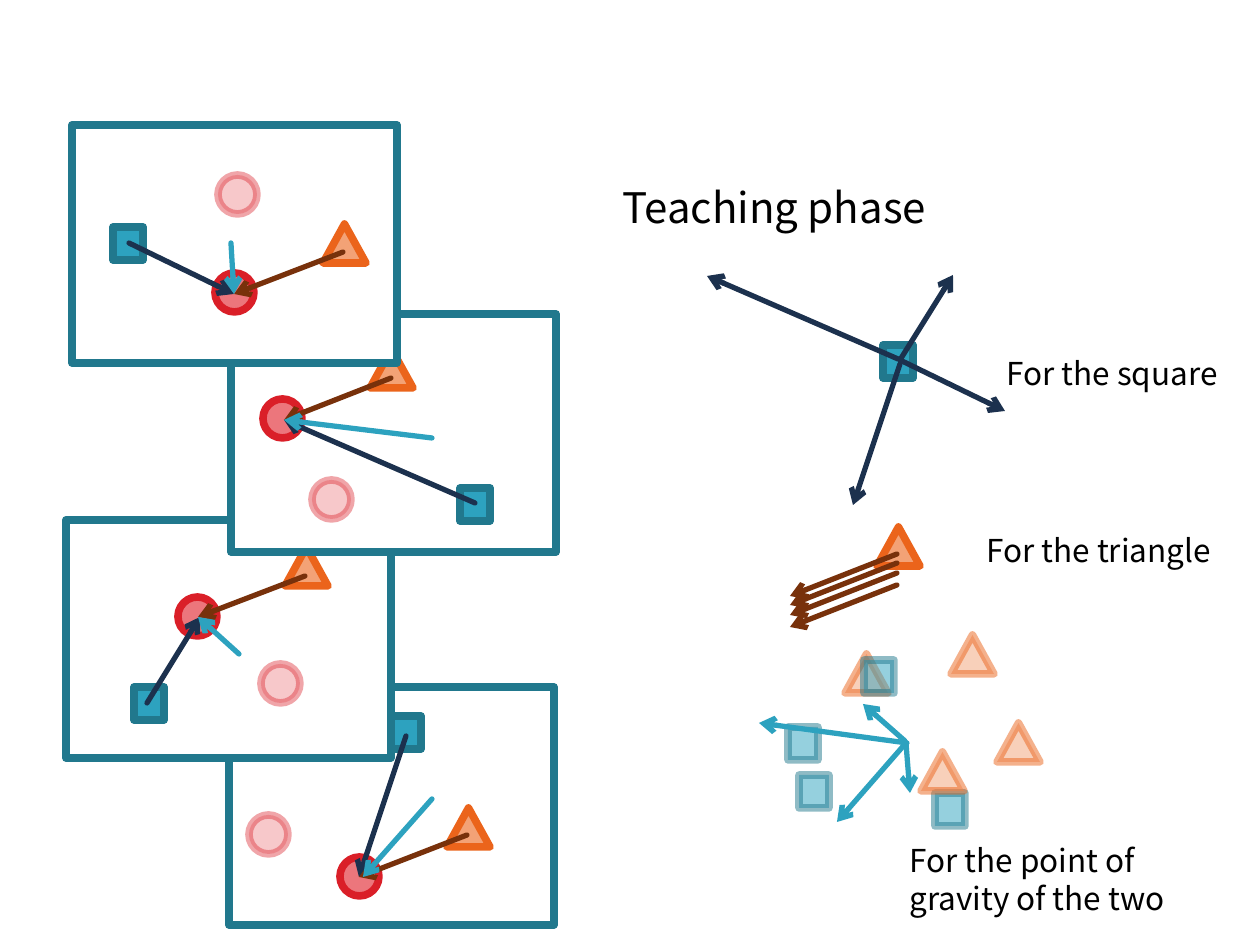
from dataclasses import dataclass

from lxml import etree
from pptx import Presentation
from pptx import util as u
from pptx.dml import color
from pptx.enum import shapes, text
from pptx.oxml import ns

PX = 914400 / 126


@dataclass(frozen=True)
class Theme:
    font: str = "Noto Sans CJK JP"
    ink: str = "000000"
    paper: str = "FFFFFF"
    teal: str = "2DA2BF"
    teal_edge: str = "21788D"
    orange: str = "F3A276"
    orange_edge: str = "EB641B"
    red: str = "EC767C"
    red_edge: str = "DA1F28"
    navy: str = "1C314E"
    brown: str = "78310B"
    title: int = 24
    label: int = 18
    edge_width: float = 4.33
    arrow_width: int = 3


def px(n):
    return u.Emu(round(n * PX))


def rgb(value):
    return color.RGBColor.from_string(value)


def add_xml(parent, tag, **attrs):
    return etree.SubElement(parent, ns.qn(tag), attrs)


class Sketch:
    def __init__(self, prs, theme):
        self.t = theme
        self.s = prs.slides.add_slide(prs.slide_layouts[6])

    def paint(self, fill, value, opacity):
        fill.solid()
        fill.fore_color.rgb = rgb(value)
        if opacity < 100:
            clr = fill._xPr.find(ns.qn("a:solidFill"))[0]
            add_xml(clr, "a:alpha", val=str(opacity * 1000))

    def shape(self, kind, box, fill, edge, opacity=100):
        sp = self.s.shapes.add_shape(kind, *map(px, box))
        sp.shadow.inherit = False
        self.paint(sp.fill, fill, opacity)
        sp.line.width = u.Pt(self.t.edge_width)
        self.paint(sp.line.fill, edge, opacity)
        add_xml(sp.line._get_or_add_ln(), "a:round")

    def panel(self, x, y):
        self.shape(shapes.MSO_SHAPE.RECTANGLE, (x, y, 325, 238), self.t.paper, self.t.teal_edge)

    def square(self, x, y, opacity=100):
        self.shape(shapes.MSO_SHAPE.RECTANGLE, (x, y, 30, 33), self.t.teal, self.t.teal_edge, opacity)

    def triangle(self, x, y, opacity=100):
        self.shape(shapes.MSO_SHAPE.ISOSCELES_TRIANGLE, (x, y, 43, 39),
                   self.t.orange, self.t.orange_edge, opacity)

    def circle(self, x, y, opacity=100):
        self.shape(shapes.MSO_SHAPE.OVAL, (x, y, 39, 39), self.t.red, self.t.red_edge, opacity)

    def arrow(self, ends, value):
        c = self.s.shapes.add_connector(shapes.MSO_CONNECTOR.STRAIGHT, *map(px, ends))
        c.line.width = u.Pt(self.t.arrow_width)
        c.line.color.rgb = rgb(value)
        ln = c.line._get_or_add_ln()
        ln.set("cap", "rnd")
        add_xml(ln, "a:round")
        add_xml(ln, "a:tailEnd", type="arrow")
        add_xml(c._element.spPr, "a:effectLst")

    def label(self, box, words, size):
        tf = self.s.shapes.add_textbox(*map(px, box)).text_frame
        tf.word_wrap = True
        tf.auto_size = text.MSO_AUTO_SIZE.SHAPE_TO_FIT_TEXT
        p = tf.paragraphs[0]
        p.text = words
        p.font.name = self.t.font
        p.font.size = u.Pt(size)
        p.font.color.rgb = rgb(self.t.ink)

    def scene(self, panel, ghost, square, triangle, circle, arrows):
        """One panel with its objects; arrows start at square, triangle and midpoint."""
        self.panel(*panel)
        self.circle(*ghost, opacity=40)
        self.square(*square)
        self.triangle(*triangle)
        self.circle(*circle)
        for ends, value in zip(arrows, (self.t.navy, self.t.brown, self.t.teal)):
            self.arrow(ends, value)


# Back to front: panel, ghost, square, triangle, circle, arrows
SCENES = [
    ((229, 687), (249, 815), (391, 716), (447, 808), (340, 857),
     [(406, 736, 359, 877), (467, 835, 359, 877), (432, 799, 363, 877)]),
    ((66, 520), (261, 664), (134, 687), (285, 547), (178, 597),
     [(147, 703, 200, 617), (305, 576, 198, 617), (239, 654, 198, 617)]),
    ((231, 314), (312, 480), (460, 488), (370, 349), (263, 399),
     [(475, 503, 284, 420), (391, 378, 284, 420), (432, 438, 284, 420)]),
    ((72, 125), (218, 175), (113, 227), (323, 224), (215, 273),
     [(129, 243, 234, 294), (343, 252, 234, 294), (231, 243, 234, 294)]),
]
SQUARE_ARROWS = [(900, 360, 1005, 411), (898, 359, 707, 276),
                 (900, 360, 953, 275), (900, 364, 853, 505)]
TRIANGLE_ARROW_TOPS = [554, 563, 573, 585]
GRAVITY_ARROWS = [(906, 743, 910, 793), (907, 743, 759, 723),
                  (905, 741, 863, 704), (906, 743, 837, 822)]


def main():
    prs = Presentation()
    prs.slide_width, prs.slide_height = px(1260), px(945)
    t = Theme()
    sk = Sketch(prs, t)

    for scene in SCENES:
        sk.scene(*scene)

    sk.triangle(877, 527)
    for y in TRIANGLE_ARROW_TOPS:
        sk.arrow((897, y, 790, y + 42), t.brown)

    sk.square(883, 345)
    for ends in SQUARE_ARROWS:
        sk.arrow(ends, t.navy)

    for x, y in [(997, 723), (845, 654), (951, 635)]:
        sk.triangle(x, y, opacity=50)
    for x, y in [(788, 727), (935, 793), (799, 775), (864, 660)]:
        sk.square(x, y, opacity=50)
    sk.triangle(921, 752, opacity=50)
    for ends in GRAVITY_ARROWS:
        sk.arrow(ends, t.teal)

    sk.label((610, 175, 536, 63), "Teaching phase", t.title)
    sk.label((994, 348, 297, 50), "For the square", t.label)
    sk.label((974, 525, 261, 50), "For the triangle", t.label)
    sk.label((897, 835, 333, 89), "For the point of gravity of the two", t.label)
    prs.save("out.pptx")


if __name__ == "__main__":
    main()
